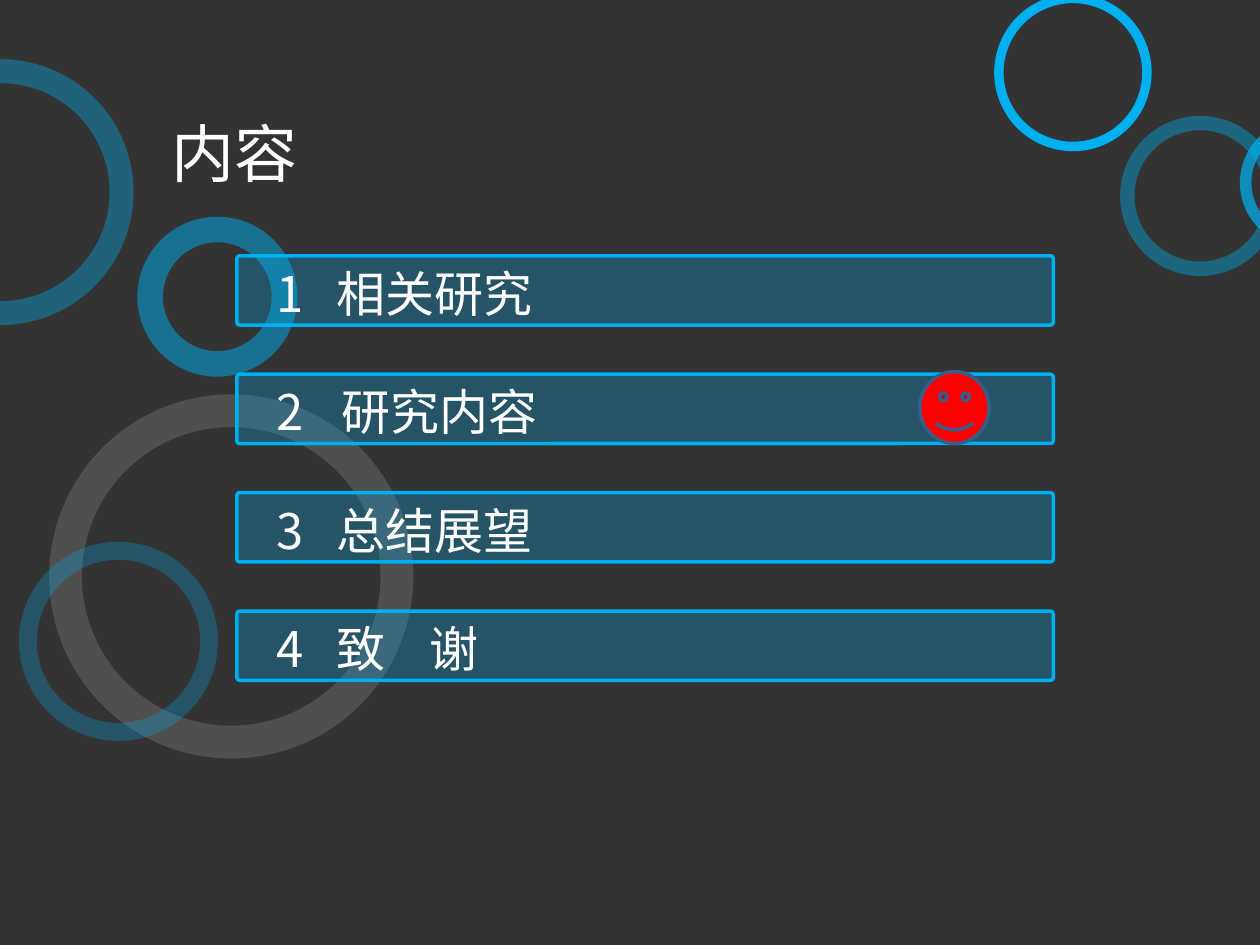
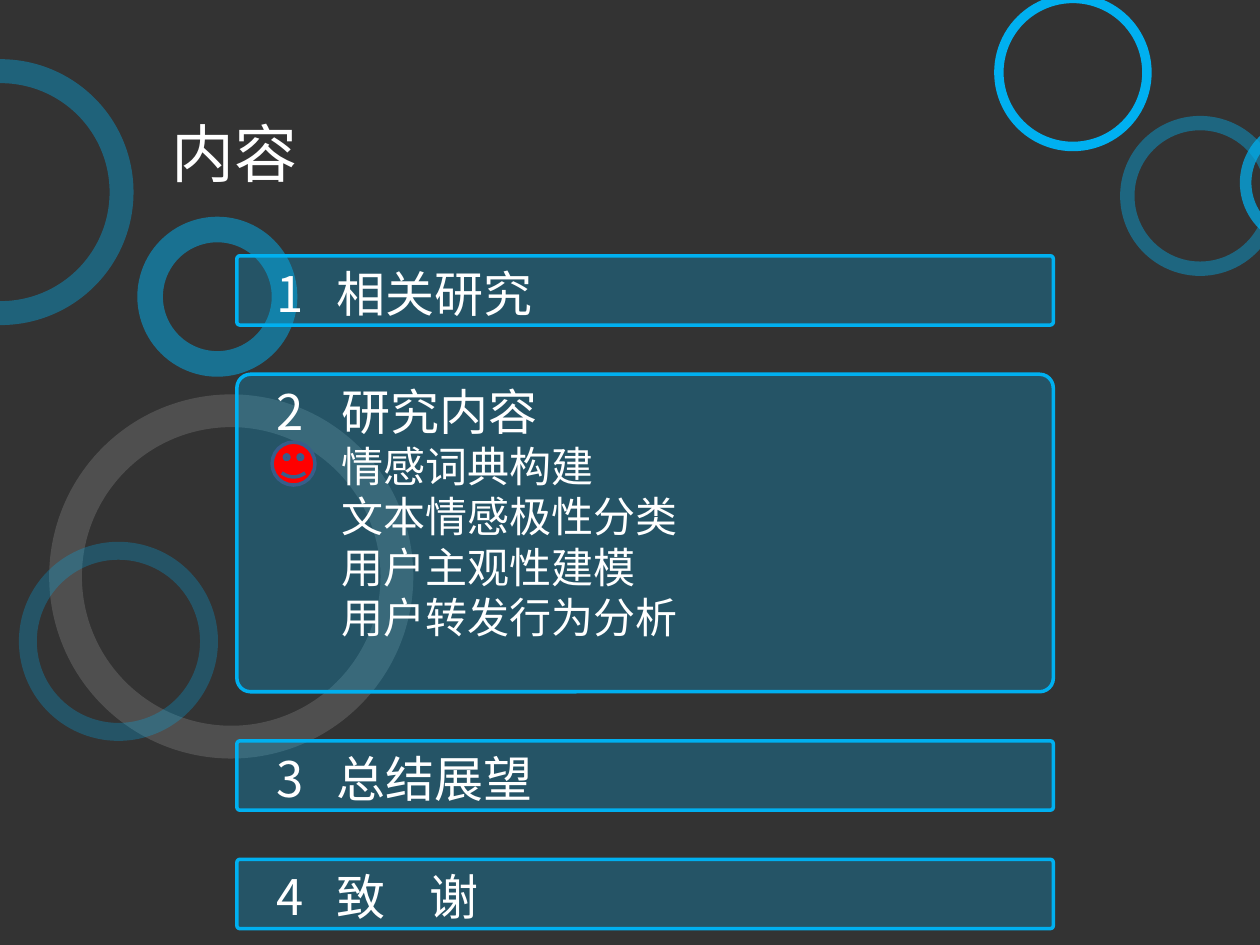
from pptx import Presentation, util as u
from pptx.dml.color import RGBColor
from pptx.enum import shapes, text
from pptx.oxml.ns import qn
from lxml import etree

GROUND, CYAN, WHITE, RED, NAVY = "333333", "00B0F0", "FFFFFF", "FF0000", "385D8A"
HAN_FONT, DIGIT_FONT = "Noto Sans CJK SC", "Noto Sans CJK JP"
COLUMNS, ROWS = 10, 7.5
CELL = u.Inches(1)
HEADING, SUBHEADING, TITLE = 28, 24, 36
BAR_HEIGHT, BAR_GAP = 0.55, 0.39
LIST_BOX = (1.88, 2.03, 6.48)
TITLE_BOX = (1.26, 0.83, 1.5, 0.7)

# left, top, diameter, band share, colour, opacity
RINGS = [
    (0.39, 3.13, 2.89, 0.09, WHITE, 14),
    (-1.05, 0.47, 2.11, 0.09, CYAN, 38),
    (0.15, 4.3, 1.58, 0.09, CYAN, 27),
    (1.09, 1.72, 1.27, 0.16, CYAN, 50),
    (8.89, 0.92, 1.27, 0.09, CYAN, 41),
    (7.89, -0.05, 1.25, 0.06, CYAN, 100),
    (9.84, 0.94, 1.02, 0.09, CYAN, 72),
]
TOPICS = ["相关研究", "研究内容", "总结展望", "致\t谢"]
SUBTOPICS = ["情感词典构建", "文本情感极性分类", "用户主观性建模", "用户转发行为分析"]


def cells(*lengths):
    """Turn grid lengths into slide lengths."""
    return [round(length * CELL) for length in lengths]


def paint(fill, colour, opacity=100):
    """Give a fill a solid colour with an opacity in percent."""
    fill.solid()
    fill.fore_color.rgb = RGBColor.from_string(colour)
    if opacity < 100:
        solid = fill.fore_color._xFill
        etree.SubElement(solid[0], qn("a:alpha"), val=str(opacity * 1000))


def add_figure(slide, kind, box, colour, opacity=100, outline=None):
    """Add a flat preset shape, outlined if a colour is given."""
    figure = slide.shapes.add_shape(kind, *cells(*box))
    figure.shadow.inherit = False
    paint(figure.fill, colour, opacity)
    if outline:
        paint(figure.line.fill, outline)
        figure.line.width = u.Pt(2)
    else:
        figure.line.fill.background()
    return figure


def add_lines(slide, box, lines, font=HAN_FONT):
    """Write (wording, size) lines in a text box."""
    frame = slide.shapes.add_textbox(*cells(*box)).text_frame
    frame.word_wrap = True
    frame.auto_size = text.MSO_AUTO_SIZE.NONE
    frame.margin_top = u.Inches(0.08)
    for index, (wording, size) in enumerate(lines):
        paragraph = frame.add_paragraph() if index else frame.paragraphs[0]
        paragraph.text = wording
        paragraph.line_spacing = u.Pt(size * 1.2)
        if "\t" in wording:
            stops = etree.SubElement(paragraph._p.get_or_add_pPr(), qn("a:tabLst"))
            etree.SubElement(stops, qn("a:tab"), pos=str(u.Inches(0.74)), algn="l")
        for run in paragraph.runs:
            run.font.size = u.Pt(size)
            run.font.color.rgb = RGBColor.from_string(WHITE)
            run.font.name = font
            etree.SubElement(run._r.get_or_add_rPr(), qn("a:ea"), typeface=font)


def add_backdrop(slide):
    """Paint the ground and the rings."""
    paint(slide.background.fill, GROUND)
    for left, top, size, band, colour, opacity in RINGS:
        ring = add_figure(slide, shapes.MSO_SHAPE.DONUT, (left, top, size, size), colour, opacity)
        ring.adjustments[0] = band


def add_topic(slide, box, number, lines):
    """Draw one numbered bar with its heading and any lines below it."""
    left, top, width, height = box
    bar = add_figure(slide, shapes.MSO_SHAPE.ROUNDED_RECTANGLE, box, CYAN, 27, CYAN)
    bar.adjustments[0] = 0.043
    indent = 0.73 if number == 2 else 0.69
    add_lines(slide, (left + indent, top - 0.02, width - indent, height), lines)
    add_lines(slide, (left + 0.22, top - 0.02, 0.47, BAR_HEIGHT), [(str(number), HEADING)], DIGIT_FONT)


def add_topic_list(slide, box, details):
    """Stack the topics; details maps a topic number to its bar height and lines."""
    left, top, width = box
    for number, topic in enumerate(TOPICS, 1):
        height, subtopics = details.get(number, (BAR_HEIGHT, []))
        lines = [(topic, HEADING)] + [(subtopic, SUBHEADING) for subtopic in subtopics]
        add_topic(slide, (left, top, width, height), number, lines)
        top += height + BAR_GAP


def add_contents_slide(deck, details, marker_box):
    """Build a contents slide with a smiley marking the current topic."""
    slide = deck.slides.add_slide(deck.slide_layouts[6])
    add_backdrop(slide)
    add_topic_list(slide, LIST_BOX, details)
    add_lines(slide, TITLE_BOX, [("内容", TITLE)])
    add_figure(slide, shapes.MSO_SHAPE.SMILEY_FACE, marker_box, RED, outline=NAVY)


def main():
    """Build and save the deck."""
    deck = Presentation()
    deck.slide_width, deck.slide_height = cells(COLUMNS, ROWS)
    add_contents_slide(deck, {}, (7.3, 2.95, 0.55, 0.57))
    add_contents_slide(deck, {2: (2.52, SUBTOPICS)}, (2.16, 3.51, 0.34, 0.34))
    deck.save("out.pptx")


if __name__ == "__main__":
    main()
